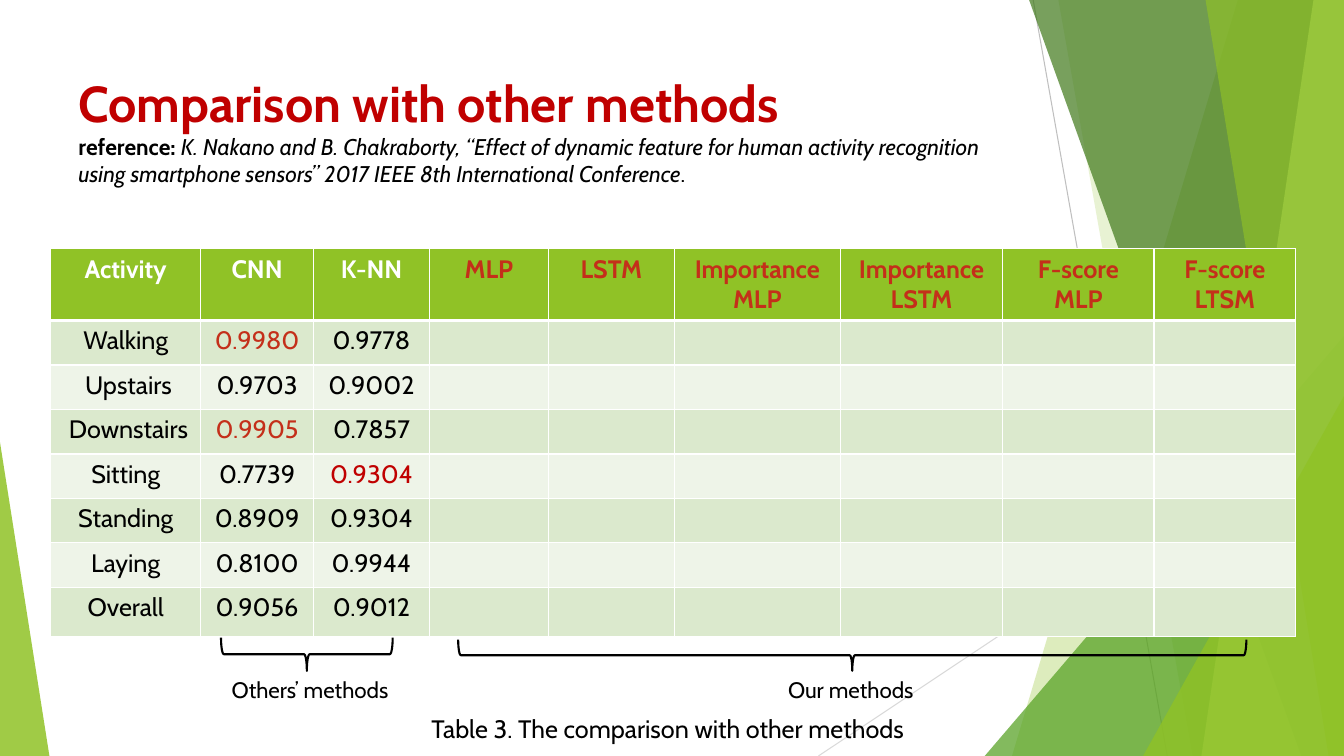
from lxml import etree
from pptx import Presentation
from pptx.dml.color import RGBColor
from pptx.enum.shapes import MSO_CONNECTOR as Connector, MSO_SHAPE as Shape
from pptx.enum.text import MSO_ANCHOR as Anchor, MSO_AUTO_SIZE as AutoSize, PP_ALIGN as Align
from pptx.oxml.ns import qn
from pptx.util import Pt

WIDTH, HEIGHT = 960, 540
FONT = "Cabin"
COLORS = {
    "white": "FFFFFF", "black": "000000", "red": "C00000", "brick": "C42F1A",
    "lime": "90C226", "green": "54A021", "forest": "3F7819", "pale": "C0E474",
    "band": "DBE9CD", "light": "EEF4E8", "gray": "BFBFBF", "silver": "D9D9D9",
}

# Content: (text, size, color, bold, italic)
TITLE = ("Comparison with other methods", 36, "red", True, False)
REFERENCE = [
    ("reference: ", 16.2, "black", True, False),
    ("K. Nakano and B. Chakraborty, “Effect of dynamic feature for human activity "
     "recognition using smartphone sensors” 2017 IEEE 8th International Conference",
     16.2, "black", False, True),
    (".", 16.2, "black", False, False),
]
HEADERS = ["Activity", "CNN", "K-NN", "MLP", "LSTM", "Importance MLP",
           "Importance LSTM", "F-score MLP", "F-score LTSM"]
FIRST_OWN_METHOD = 3
RESULTS = [
    ("Walking", "0.9980", "0.9778"),
    (" Upstairs", "0.9703", "0.9002"),
    (" Downstairs", "0.9905", "0.7857"),
    ("Sitting", "0.7739", "0.9304"),
    ("Standing", "0.8909", "0.9304"),
    ("Laying", "0.8100", "0.9944"),
    ("Overall", "0.9056", "0.9012"),
]
HIGHLIGHTS = {(1, 1): "brick", (3, 1): "brick", (4, 2): "red"}
COLUMN_WIDTHS = [107.2, 80.6, 82.8, 85, 90, 118.5, 116, 108, 101.3]
ROW_HEIGHTS = [51.4] + [31.75] * 6 + [34.9]

# Labels: (text, size, left, top, width, height)
LABELS = [
    ("Table 3. The comparison with other methods", 18, 301, 506.2, 384.5, 29),
    ("Others’ methods", 16, 158.4, 479.5, 134.6, 26.6),
    ("Our methods", 16, 555.8, 479.5, 107.3, 26.6),
]
# Braces: (center x, center y, span, depth)
BRACES = [(608.8, 468, 563, 22.3), (219.2, 467.3, 122.6, 23.8)]

# Backdrop, back to front
LINES = [((738, 0), (833.8, HEIGHT), "gray"), ((WIDTH, 290), (584.6, HEIGHT), "silver")]
# Slanted panels: (top x, bottom x, color, opacity %); triangles: (left, top, width, apex, color, opacity %)
BACKDROP = [
    (884.2, 722.9, "lime", 30),
    (756, 851.8, "lime", 20),
    (703.4, 240, 256.6, 1, "green", 72),
    (735.1, 929.5, "forest", 70),
    (938.2, 858.2, "pale", 70),
    (861.1, 949, "lime", 65),
    (816.5, 283, 143.5, 1, "lime", 80),
    (0, 316, 35.3, 0, "lime", 85),
]


def rgb(name):
    return RGBColor.from_string(COLORS[name])


def add_run(para, text, size, color, bold=False, italic=False):
    span = para.add_run()
    span.text = text
    font = span.font
    font.name, font.size, font.bold, font.italic = FONT, Pt(size), bold, italic
    font.color.rgb = rgb(color)


def add_box(page, left, top, width, height, wrap):
    box = page.shapes.add_textbox(Pt(left), Pt(top), Pt(width), Pt(height))
    box.text_frame.word_wrap = wrap
    return box.text_frame


def paint(shape, color, opacity):
    shape.shadow.inherit = False
    shape.fill.solid()
    shape.fill.fore_color.rgb = rgb(color)
    shape.line.fill.background()
    tint = shape.fill._xPr.find(".//" + qn("a:srgbClr"))
    etree.SubElement(tint, qn("a:alpha"), val=str(opacity * 1000))


def add_backdrop(page):
    for start, end, color in LINES:
        line = page.shapes.add_connector(Connector.STRAIGHT, *map(Pt, start + end))
        line.line.color.rgb = rgb(color)
        line.line.width = Pt(0.75)
        etree.SubElement(line._element.spPr, qn("a:effectLst"))
    for *place, color, opacity in BACKDROP:
        if len(place) == 2:
            top_x, bottom_x = place
            outline = page.shapes.build_freeform(Pt(top_x), 0)
            corners = [(WIDTH, 0), (WIDTH, HEIGHT), (bottom_x, HEIGHT)]
            outline.add_line_segments([(Pt(x), Pt(y)) for x, y in corners])
            shape = outline.convert_to_shape()
        else:
            left, top, width, apex = place
            shape = page.shapes.add_shape(Shape.ISOSCELES_TRIANGLE, Pt(left), Pt(top),
                                          Pt(width), Pt(HEIGHT - top))
            shape.adjustments[0] = apex
        paint(shape, color, opacity)


def set_borders(cell, bottom):
    properties = cell._tc.get_or_add_tcPr()
    widths = {"a:lnL": 1, "a:lnR": 1, "a:lnT": 1, "a:lnB": bottom}
    for index, (side, width) in enumerate(widths.items()):
        border = etree.Element(qn(side), w=str(Pt(width)))
        fill = etree.SubElement(border, qn("a:solidFill"))
        etree.SubElement(fill, qn("a:srgbClr"), val=COLORS["white"])
        properties.insert(index, border)


def add_results(page):
    table = page.shapes.add_table(len(ROW_HEIGHTS), len(HEADERS), Pt(36.2), Pt(177.6),
                                  Pt(sum(COLUMN_WIDTHS)), Pt(sum(ROW_HEIGHTS))).table
    for column, width in zip(table.columns, COLUMN_WIDTHS):
        column.width = Pt(width)
    for row, height in zip(table.rows, ROW_HEIGHTS):
        row.height = Pt(height)
    for r, texts in enumerate([HEADERS] + RESULTS):
        is_header = r == 0
        for c in range(len(HEADERS)):
            cell = table.cell(r, c)
            cell.fill.solid()
            cell.fill.fore_color.rgb = rgb("lime" if is_header else "band" if r % 2 else "light")
            set_borders(cell, bottom=3 if is_header else 1)
            if c >= len(texts):
                continue
            if is_header:
                color = "white" if c < FIRST_OWN_METHOD else "brick"
            else:
                color = HIGHLIGHTS.get((r, c), "black")
            para = cell.text_frame.paragraphs[0]
            para.alignment = Align.CENTER
            add_run(para, texts[c], 18, color, bold=is_header)


def main():
    deck = Presentation()
    deck.slide_width, deck.slide_height = Pt(WIDTH), Pt(HEIGHT)
    page = deck.slides.add_slide(deck.slide_layouts[6])
    add_backdrop(page)

    # Title and reference
    frame = add_box(page, 49, 48.2, 676.8, 103.7, wrap=True)
    frame.vertical_anchor = Anchor.TOP
    para = frame.paragraphs[0]
    add_run(para, *TITLE)
    para.add_line_break()
    for part in REFERENCE:
        add_run(para, *part)

    add_results(page)

    # Braces under the table
    for x, y, span, depth in BRACES:
        brace = page.shapes.add_shape(Shape.LEFT_BRACE, Pt(x - depth / 2), Pt(y - span / 2),
                                      Pt(depth), Pt(span))
        brace.rotation = 270
        brace.shadow.inherit = False
        brace.fill.background()
        brace.line.color.rgb = rgb("black")
        brace.line.width = Pt(1.5)

    # Caption and brace labels
    for text, size, *place in LABELS:
        frame = add_box(page, *place, wrap=False)
        frame.auto_size = AutoSize.SHAPE_TO_FIT_TEXT
        add_run(frame.paragraphs[0], text, size, "black")

    deck.save("out.pptx")


if __name__ == "__main__":
    main()
